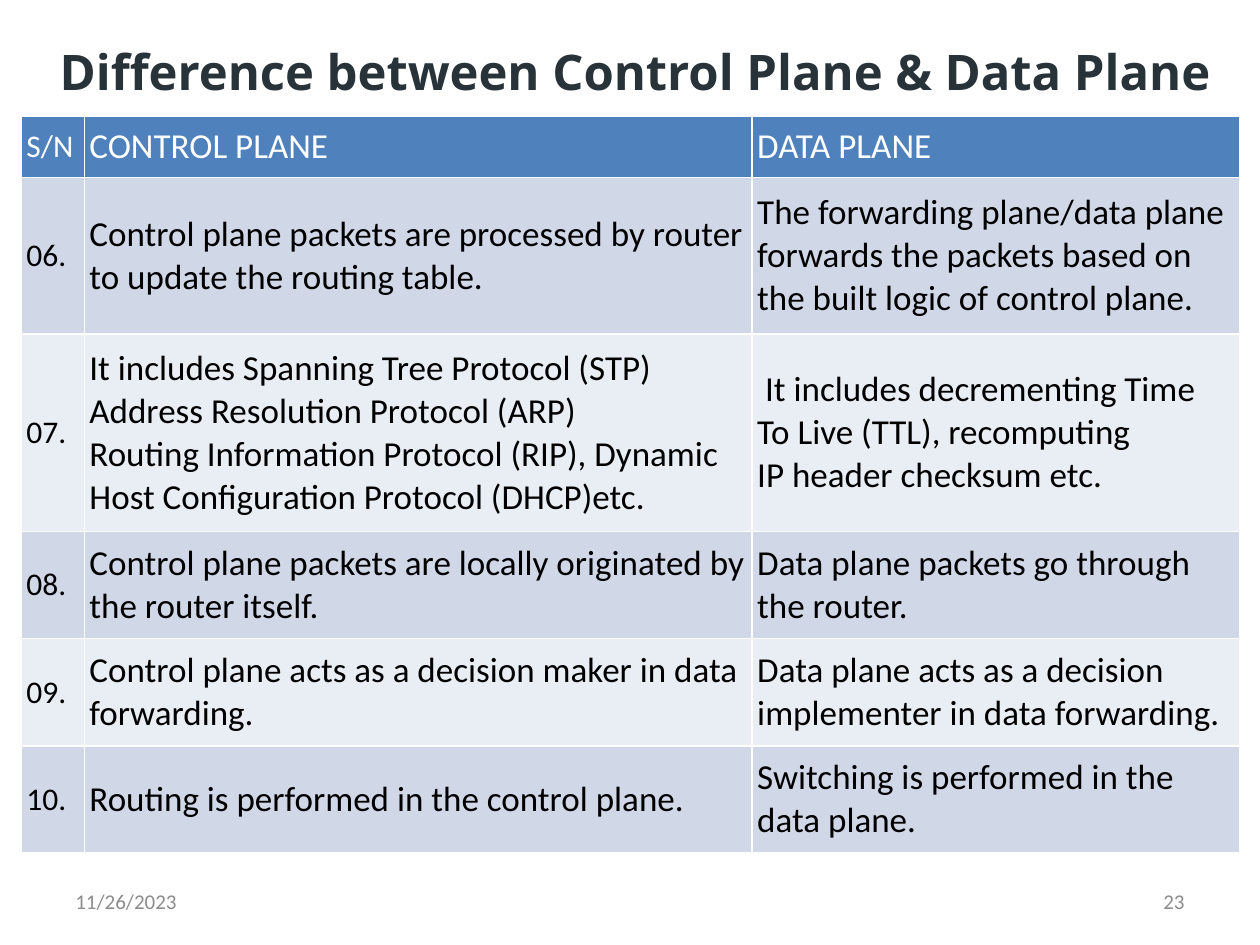
import pptx
import pptx.dml.color
import pptx.enum.text
import pptx.util

Inches = pptx.util.Inches
RGBColor = pptx.dml.color.RGBColor
Align = pptx.enum.text.PP_ALIGN
Anchor = pptx.enum.text.MSO_ANCHOR

WHITE = RGBColor(0xFF, 0xFF, 0xFF)
BLACK = RGBColor(0x00, 0x00, 0x00)
TITLE_INK = RGBColor(0x27, 0x32, 0x39)
FOOTER_GREY = RGBColor(0x8C, 0x8C, 0x8C)
HEADER_BLUE = RGBColor(0x4F, 0x81, 0xBD)
BANDS = (RGBColor(0xD0, 0xD8, 0xE8), RGBColor(0xE9, 0xED, 0xF4))

COLUMN_WIDTHS = (0.5, 5.3, 3.87)
ROW_HEIGHTS = (0.49, 1.24, 1.57, 0.85, 0.85, 0.85)
ROWS = (
    ("S/N", "CONTROL PLANE", "DATA PLANE"),
    ("06.",
     "Control plane packets are processed by router to update the routing table.",
     "The forwarding plane/data plane forwards the packets based on the built logic of control plane."),
    ("07.",
     "It includes Spanning Tree Protocol (STP)\vAddress Resolution Protocol (ARP)\v"
     "Routing Information Protocol (RIP), Dynamic Host Configuration Protocol (DHCP)etc.",
     " It includes decrementing Time To Live (TTL), recomputing\vIP header checksum etc."),
    ("08.",
     "Control plane packets are locally originated by the router itself.",
     "Data plane packets go through the router."),
    ("09.",
     "Control plane acts as a decision maker in data forwarding.",
     "Data plane acts as a decision implementer in data forwarding."),
    ("10.",
     "Routing is performed in the control plane.",
     "Switching is performed in the data plane."),
)


class PlaneSlide:
    body_font = "Calibri"
    title_font = "Open Sans"

    def __init__(self, deck):
        self.page = deck.slides.add_slide(deck.slide_layouts[5])

    def set_text(self, frame, text, size, color, font=None, bold=False, align=Align.LEFT):
        frame.word_wrap = True
        frame.vertical_anchor = Anchor.MIDDLE
        para = frame.paragraphs[0]
        para.text = text
        para.alignment = align
        para.font.name = font or self.body_font
        para.font.size = pptx.util.Pt(size)
        para.font.bold = bold
        para.font.color.rgb = color

    def title(self, text, left, top, width, height):
        box = self.page.shapes.title
        box.left, box.top = Inches(left), Inches(top)
        box.width, box.height = Inches(width), Inches(height)
        frame = box.text_frame
        self.set_text(frame, text, 28, TITLE_INK, self.title_font, True, Align.CENTER)
        frame.auto_size = pptx.enum.text.MSO_AUTO_SIZE.NONE
        frame.margin_left = frame.margin_right = 0
        frame.margin_top = frame.margin_bottom = 0

    def table(self, rows, left, top, widths, heights):
        table = self.page.shapes.add_table(
            len(rows), len(widths), Inches(left), Inches(top),
            Inches(sum(widths)), Inches(sum(heights))).table
        for column, width in zip(table.columns, widths):
            column.width = Inches(width)
        for index, (row, height, texts) in enumerate(zip(table.rows, heights, rows)):
            row.height = Inches(height)
            fill = BANDS[(index - 1) % 2] if index else HEADER_BLUE
            ink = BLACK if index else WHITE
            for position, (cell, text) in enumerate(zip(row.cells, texts)):
                self.cell(cell, text, 20 if position else 18, ink, fill)

    def cell(self, cell, text, size, ink, fill):
        cell.fill.solid()
        cell.fill.fore_color.rgb = fill
        cell.margin_left = cell.margin_right = Inches(0.04)
        cell.margin_top = cell.margin_bottom = Inches(0.06)
        cell.vertical_anchor = Anchor.MIDDLE
        self.set_text(cell.text_frame, text, size, ink)

    def footer(self, text, left, align):
        box = self.page.shapes.add_textbox(
            Inches(left), Inches(6.95), Inches(2.33), Inches(0.4))
        self.set_text(box.text_frame, text, 12, FOOTER_GREY, align=align)


def main():
    deck = pptx.Presentation()
    deck.slide_width, deck.slide_height = Inches(10), Inches(7.5)
    slide = PlaneSlide(deck)
    slide.title("Difference between Control Plane & Data Plane", 0.33, 0.3, 9.42, 0.53)
    slide.table(ROWS, 0.17, 0.92, COLUMN_WIDTHS, ROW_HEIGHTS)
    slide.footer("11/26/2023", 0.5, Align.LEFT)
    slide.footer("23", 7.17, Align.RIGHT)
    deck.save("out.pptx")


if __name__ == "__main__":
    main()
